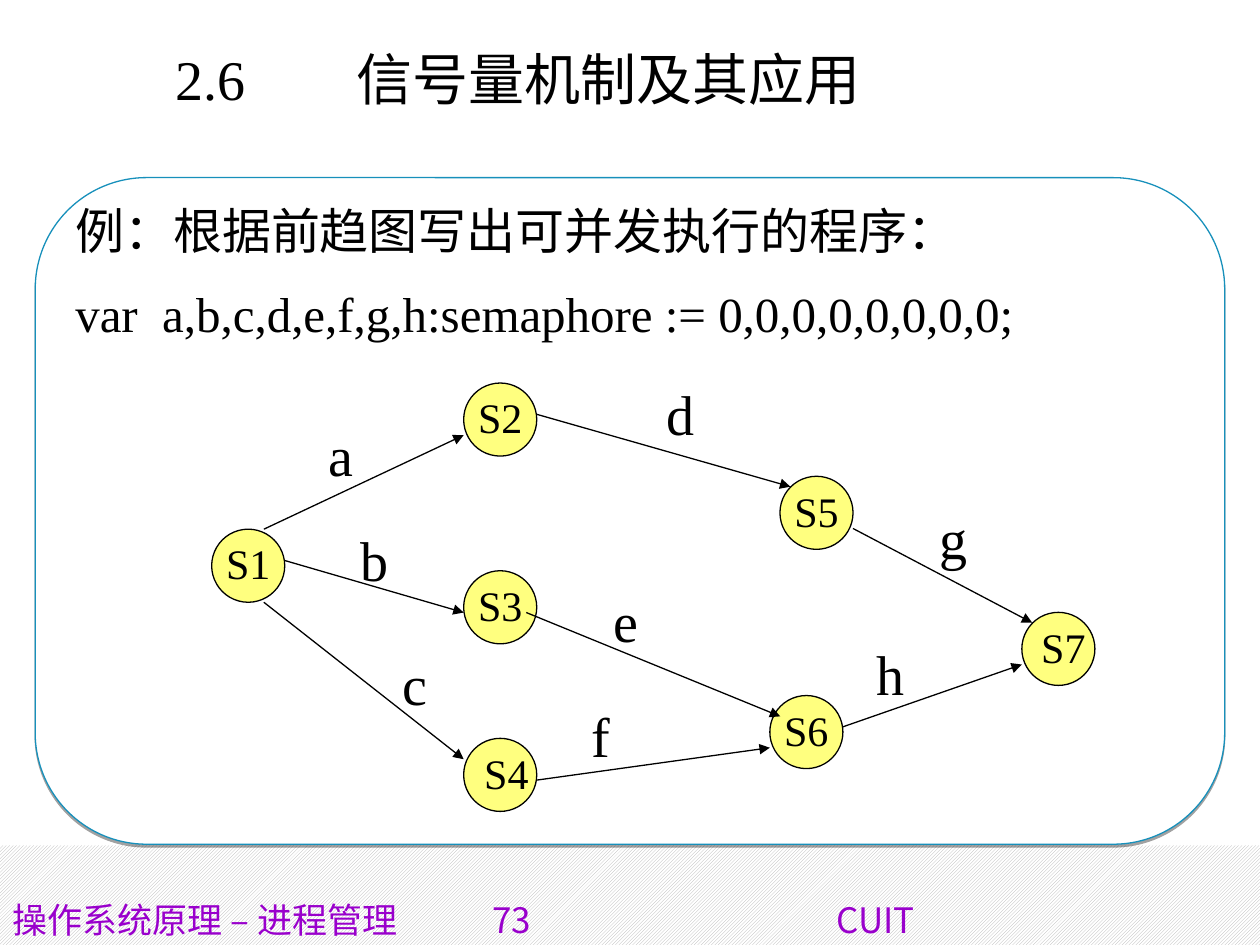
import pptx
import pptx.dml.color
import pptx.enum.dml
import pptx.enum.shapes
import pptx.enum.text
import pptx.oxml
import pptx.oxml.ns
import pptx.util

RGBColor = pptx.dml.color.RGBColor
Inches, Pt = pptx.util.Inches, pptx.util.Pt
SHAPE = pptx.enum.shapes.MSO_SHAPE
ANCHOR = pptx.enum.text.MSO_ANCHOR
ALIGN = pptx.enum.text.PP_ALIGN

BLACK = RGBColor(0, 0, 0)
WHITE = RGBColor(0xFF, 0xFF, 0xFF)
YELLOW = RGBColor(0xFF, 0xFF, 0)
GREY = RGBColor(0xB2, 0xB2, 0xB2)
BLUE = RGBColor(0x17, 0x90, 0xBB)
PURPLE = RGBColor(0x99, 0, 0xCC)
SERIF, SANS, SANS_KR = "Times New Roman", "Noto Sans CJK SC", "Noto Sans CJK KR"

# Content
TITLE = "2.6\t信号量机制及其应用"
BODY = [
    "例：根据前趋图写出可并发执行的程序：",
    "var  a,b,c,d,e,f,g,h:semaphore := 0,0,0,0,0,0,0,0;",
]
FOOTER = [("操作系统原理 – 进程管理", SANS), ("\t73\tCUIT", SANS_KR)]

# Statement: left, top of its circle, and left inset of its name
NODES = {
    "S1": (1.68, 4.20, 0.12), "S2": (3.68, 3.04, 0.11), "S3": (3.68, 4.53, 0.11),
    "S4": (3.68, 5.86, 0.17), "S5": (6.19, 3.78, 0.11), "S6": (6.11, 5.52, 0.11),
    "S7": (8.11, 4.86, 0.16),
}
# Semaphore: left, top of its label; start and end node, each with
# the point touched, in sevenths of the circle's box
EDGES = {
    "a": ((2.51, 3.29), ("S1", 5, 0), ("S2", 0, 5)),
    "b": ((2.76, 4.12), ("S1", 7, 3), ("S3", 0, 4)),
    "c": ((3.10, 5.11), ("S1", 5, 7), ("S4", 0, 2)),
    "d": ((5.19, 2.96), ("S2", 7, 3), ("S5", 1, 1)),
    "e": ((4.77, 4.61), ("S3", 6, 4), ("S6", 1, 2)),
    "f": ((4.60, 5.52), ("S4", 7, 4), ("S6", 0, 5)),
    "g": ((7.36, 3.95), ("S5", 7, 5), ("S7", 1, 1)),
    "h": ((6.86, 5.03), ("S6", 7, 3), ("S7", 0, 5)),
}
DIAMETER, LABEL_SIZE = 0.58, (0.5, 0.63)

deck = pptx.Presentation()
deck.slide_width, deck.slide_height = Inches(10), Inches(7.5)
slide = deck.slides.add_slide(deck.slide_layouts[5])


def add_xml(parent, tag, content="", **attributes):
    listed = " ".join(f'{name}="{value}"' for name, value in attributes.items())
    element = pptx.oxml.parse_xml(
        f'<a:{tag} {pptx.oxml.ns.nsdecls("a")} {listed}>{content}</a:{tag}>')
    parent.append(element)
    return element


def add_tabs(paragraph, *stops):
    content = "".join(f'<a:tab pos="{Inches(stop)}" algn="l"/>' for stop in stops)
    add_xml(paragraph._p.get_or_add_pPr(), "tabLst", content)


def set_frame(frame, **changes):
    values = {"word_wrap": True, "vertical_anchor": ANCHOR.TOP,
              "auto_size": pptx.enum.text.MSO_AUTO_SIZE.NONE,
              "margin_left": Inches(0.1), "margin_right": Inches(0.1),
              "margin_top": Inches(0.05), "margin_bottom": Inches(0.05)}
    for name, value in {**values, **changes}.items():
        setattr(frame, name, value)
    return frame


def add_run(paragraph, text, size, font=SERIF, color=BLACK):
    run = paragraph.add_run()
    run.text = text
    for name, value in {"size": Pt(size), "name": font}.items():
        setattr(run.font, name, value)
    run.font.color.rgb = color
    add_xml(run._r.get_or_add_rPr(), "ea", typeface=SANS if font == SERIF else font)


def add_box(left, top, width, height, **changes):
    box = slide.shapes.add_textbox(*map(Inches, (left, top, width, height)))
    return set_frame(box.text_frame, **changes)


def add_outline(kind, left, top, width, height, fill, line):
    shape = slide.shapes.add_shape(kind, *map(Inches, (left, top, width, height)))
    shape.shadow.inherit = False
    shape.fill.solid()
    shape.fill.fore_color.rgb = fill
    shape.line.color.rgb = line
    shape.line.width = Pt(0.75)
    return shape


# Hatched footer band
band = add_outline(SHAPE.RECTANGLE, 0, 6.71, 10, 0.79, WHITE, WHITE)
band.line.fill.background()
band.fill.patterned()
band.fill.pattern = pptx.enum.dml.MSO_PATTERN.DARK_UPWARD_DIAGONAL
band.fill.fore_color.rgb, band.fill.back_color.rgb = GREY, WHITE

# Rounded panel with a thin shadow below
panel = add_outline(SHAPE.ROUNDED_RECTANGLE, 0.28, 1.41, 9.44, 5.29, WHITE, BLUE)
panel.adjustments[0] = 0.167
add_xml(panel._element.spPr.find(pptx.oxml.ns.qn("a:effectLst")), "outerShdw",
        '<a:srgbClr val="000000"><a:alpha val="37000"/></a:srgbClr>',
        dist=Pt(1.6), dir=90 * 60000, rotWithShape=0)

# Footer line
footer = add_box(0, 7.1, 10, 0.4, vertical_anchor=ANCHOR.MIDDLE).paragraphs[0]
add_tabs(footer, 3.81, 6.54)
for text, font in FOOTER:
    add_run(footer, text, 20, font, PURPLE)

# Title
title = slide.shapes.title
title.left, title.top, title.width, title.height = map(Inches, (0.5, 0.3, 7.1, 1.25))
heading = set_frame(title.text_frame, margin_left=Inches(0.89)).paragraphs[0]
heading.alignment = ALIGN.LEFT
add_tabs(heading, 1.44)
add_run(heading, TITLE, 32)

# Task text
body = add_box(0.5, 1.54, 9, 1.4)
for row, text in enumerate(BODY):
    paragraph = body.add_paragraph() if row else body.paragraphs[0]
    paragraph.space_before = Pt(14 * row)
    add_run(paragraph, text, 28)

# Statement circles
for name, (left, top, inset) in NODES.items():
    circle = add_outline(SHAPE.OVAL, left, top, DIAMETER, DIAMETER, YELLOW, BLACK)
    add_xml(circle.fill._xPr.find(".//" + pptx.oxml.ns.qn("a:srgbClr")), "alpha", val=50000)
    frame = set_frame(circle.text_frame, word_wrap=False, vertical_anchor=ANCHOR.MIDDLE,
                      margin_left=Inches(2 * (inset - 0.12)) if inset > 0.12 else 0,
                      margin_right=0, margin_top=0, margin_bottom=Inches(0.04))
    frame.paragraphs[0].alignment = ALIGN.CENTER
    add_run(frame.paragraphs[0], name, 24)


def touch_point(name, column, row):
    left, top, _ = NODES[name]
    return Inches(left + DIAMETER * column / 7), Inches(top + DIAMETER * row / 7)


# Arrows and their semaphores
for semaphore, (label_at, start, end) in EDGES.items():
    arrow = slide.shapes.add_connector(
        pptx.enum.shapes.MSO_CONNECTOR.STRAIGHT, *touch_point(*start), *touch_point(*end))
    arrow.line.color.rgb = BLACK
    arrow.line.width = Pt(0.75)
    add_xml(arrow.line._get_or_add_ln(), "tailEnd", type="triangle")
    add_xml(arrow._element.spPr, "effectLst")
    add_run(add_box(*label_at, *LABEL_SIZE).paragraphs[0], semaphore, 32)

deck.save("out.pptx")
